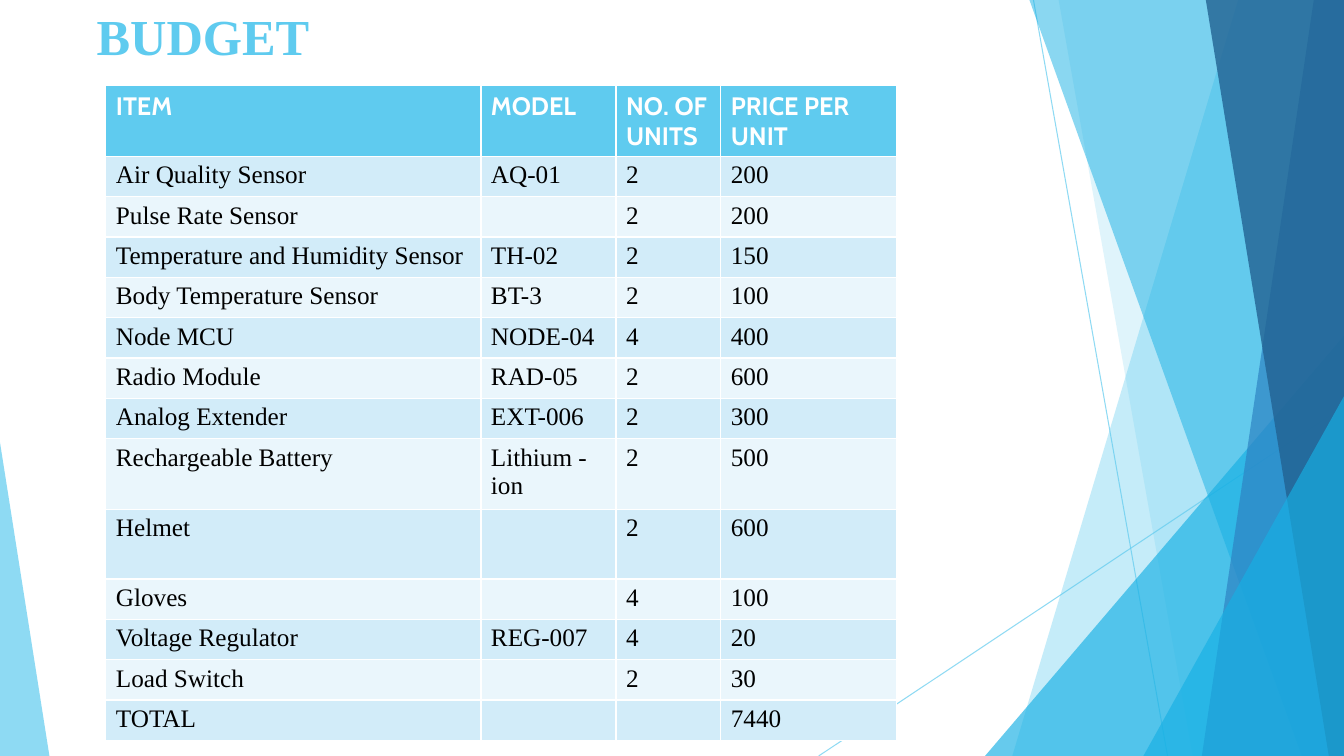
"""Build the budget slide: a priced parts table beside a faceted blue backdrop."""
import dataclasses
import typing

import pptx
import pptx.dml.color
import pptx.enum.shapes
import pptx.enum.text
import pptx.oxml.ns
import pptx.text.text
import pptx.util

Inches = pptx.util.Inches
Pt = pptx.util.Pt
RGB = pptx.dml.color.RGBColor
qn = pptx.oxml.ns.qn
W, H = 13.33, 7.5


@dataclasses.dataclass(frozen=True)
class Theme:
    sky: str = "5FCBEF"
    cyan: str = "17B0E4"
    blue: str = "2E83C3"
    navy: str = "226292"
    white: str = "FFFFFF"
    black: str = "000000"
    bands: tuple[str, str] = ("D2ECF9", "EAF6FC")
    serif: str = "Times New Roman"
    sans: str = "Cabin"
    title_size: float = 36
    cell_size: float = 18
    rule: float = 0.75


T = Theme()


class Ray(typing.NamedTuple):
    start: tuple[float, float]
    end: tuple[float, float]


class Facet(typing.NamedTuple):
    top: float
    bottom: float
    color: str
    alpha: int


class Wedge(typing.NamedTuple):
    left: float
    top: float
    width: float
    apex: float
    color: str
    alpha: int


RAYS = [Ray((10.25, 0), (11.58, H)), Ray((W, 4.03), (8.12, H))]
BACKDROP = [
    Facet(12.28, 10.04, T.sky, 36),
    Facet(10.5, 11.83, T.sky, 20),
    Wedge(9.77, 3.33, 3.56, 1, T.cyan, 66),
    Facet(10.21, 12.91, T.cyan, 50),
    Facet(13.03, 11.92, T.blue, 70),
    Facet(11.96, 13.18, T.navy, 80),
    Wedge(11.34, 3.93, 1.99, 1, T.cyan, 66),
    Wedge(0, 4.39, 0.49, 0, T.sky, 70),
]
COLUMNS = [3.72, 1.34, 1.04, 1.74]
ROW, TALL_ROW = 0.39, 0.69
TALL_ITEMS = {"ITEM", "Rechargeable Battery", "Helmet"}
BUDGET = [
    ("ITEM", "MODEL", "NO. OF UNITS", "PRICE PER UNIT"),
    ("Air Quality Sensor", "AQ-01", "2", "200"),
    ("Pulse Rate Sensor", "", "2", "200"),
    ("Temperature and Humidity Sensor", "TH-02", "2", "150"),
    ("Body Temperature Sensor", "BT-3", "2", "100"),
    ("Node MCU", "NODE-04", "4", "400"),
    ("Radio Module", "RAD-05", "2", "600"),
    ("Analog Extender", "EXT-006", "2", "300"),
    ("Rechargeable Battery", "Lithium - ion", "2", "500"),
    ("Helmet", "", "2", "600"),
    ("Gloves", "", "4", "100"),
    ("Voltage Regulator", "REG-007", "4", "20"),
    ("Load Switch", "", "2", "30"),
    ("TOTAL", "", "", "7440"),
]


def style_font(font: typing.Any, color: str, **values: typing.Any) -> None:
    """Apply a colour and a set of format values to a font."""
    for name, value in values.items():
        setattr(font, name, value)
    font.color.rgb = RGB.from_string(color)


def set_alpha(s: typing.Any, percent: int) -> None:
    """Make the colours of a shape partly transparent."""
    for clr in s._element.spPr.iter(qn("a:srgbClr")):
        clr.append(clr.makeelement(qn("a:alpha"), {"val": str(percent * 1000)}))


def add_ray(shapes: typing.Any, ray: Ray) -> None:
    """Draw one thin line of the backdrop."""
    s = shapes.add_connector(
        pptx.enum.shapes.MSO_CONNECTOR.STRAIGHT, *map(Inches, ray.start + ray.end))
    s.line.color.rgb = RGB.from_string(T.sky)
    s.line.width = Pt(T.rule)
    set_alpha(s, 70)
    spPr = s._element.spPr
    spPr.append(spPr.makeelement(qn("a:effectLst"), {}))


def add_panel(shapes: typing.Any, panel: Facet | Wedge) -> None:
    """Draw one translucent panel of the backdrop."""
    if isinstance(panel, Facet):
        fb = shapes.build_freeform(Inches(panel.top), 0, scale=1.0)
        fb.add_line_segments(
            [(Inches(x), Inches(y)) for x, y in ((W, 0), (W, H), (panel.bottom, H))])
        s = fb.convert_to_shape()
    else:
        s = shapes.add_shape(
            pptx.enum.shapes.MSO_SHAPE.ISOSCELES_TRIANGLE, Inches(panel.left),
            Inches(panel.top), Inches(panel.width), Inches(H - panel.top))
        s.adjustments[0] = panel.apex
    s.shadow.inherit = False
    s.line.fill.background()
    s.fill.solid()
    s.fill.fore_color.rgb = RGB.from_string(panel.color)
    set_alpha(s, panel.alpha)


def add_title(shapes: typing.Any, text: str) -> None:
    """Write the slide heading."""
    s = shapes.add_textbox(Inches(0.86), 0, Inches(9.4), Inches(1.44))
    tf = s.text_frame
    frame = {"word_wrap": True, "vertical_anchor": pptx.enum.text.MSO_ANCHOR.TOP}
    for name, value in frame.items():
        setattr(tf, name, value)
    r = tf.paragraphs[0].add_run()
    r.text = text
    style_font(r.font, T.sky, name=T.serif, size=Pt(T.title_size), bold=True)


def fill_cell(cell: typing.Any, text: str, row: int) -> None:
    """Write and format one table cell."""
    head = row == 0
    cell.fill.solid()
    cell.fill.fore_color.rgb = RGB.from_string(T.sky if head else T.bands[(row - 1) % 2])
    p = cell.text_frame.paragraphs[0]
    if text:
        r = p.add_run()
        r.text = text
        font = r.font
    else:
        end = p._p.makeelement(qn("a:endParaRPr"), {})
        p._p.append(end)
        font = pptx.text.text.Font(end)
    style_font(font, T.white if head else T.black, name=T.sans if head else T.serif,
               size=Pt(T.cell_size), bold=head)


def add_budget(shapes: typing.Any) -> None:
    """Build the budget table."""
    heights = [TALL_ROW if row[0] in TALL_ITEMS else ROW for row in BUDGET]
    table = shapes.add_table(
        len(BUDGET), len(COLUMNS), Inches(1.05), Inches(0.85),
        Inches(sum(COLUMNS)), Inches(sum(heights))).table
    for column, width in zip(table.columns, COLUMNS):
        column.width = Inches(width)
    for i, (values, height) in enumerate(zip(BUDGET, heights)):
        table.rows[i].height = Inches(height)
        for j, text in enumerate(values):
            fill_cell(table.cell(i, j), text, i)


def main() -> None:
    """Assemble and save the slide."""
    prs = pptx.Presentation()
    prs.slide_width, prs.slide_height = Inches(W), Inches(H)
    shapes = prs.slides.add_slide(prs.slide_layouts[6]).shapes
    for ray in RAYS:
        add_ray(shapes, ray)
    for panel in BACKDROP:
        add_panel(shapes, panel)
    add_title(shapes, "BUDGET")
    add_budget(shapes)
    prs.save("out.pptx")


if __name__ == "__main__":
    main()
